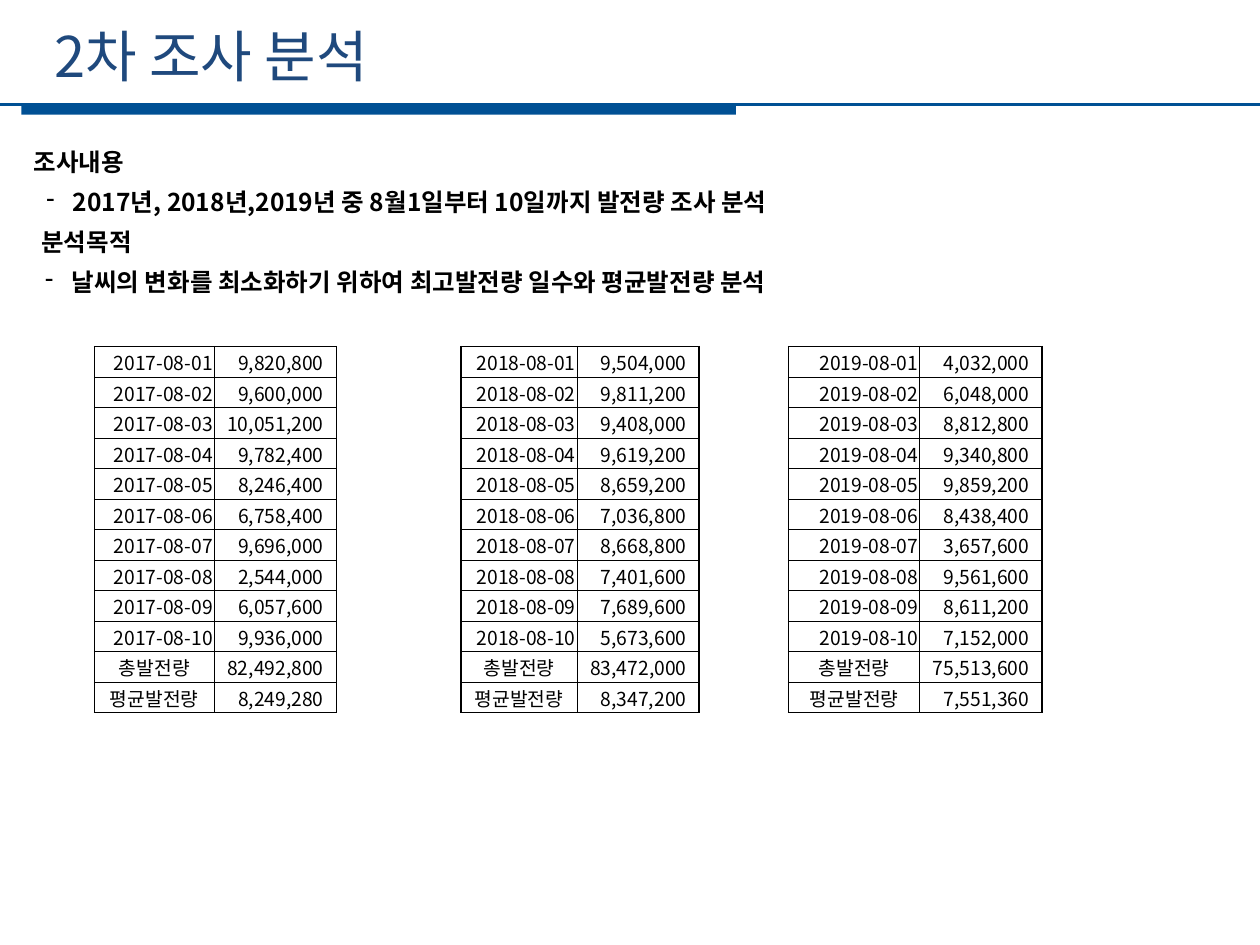
import pptx
import pptx.dml.color
import pptx.enum.shapes
import pptx.enum.text
import pptx.oxml
import pptx.oxml.ns
import pptx.util
from lxml import etree

COLUMNS, ROWS = 100, 75
KOREAN = "Noto Sans CJK KR"
BLUE, NAVY, BLACK = "005094", "1F497D", "000000"
ALIGN = pptx.enum.text.PP_ALIGN
MIDDLE = pptx.enum.text.MSO_ANCHOR.MIDDLE
INCH = pptx.util.Inches(1)

SURVEY = [
    ("조사내용", 0, False, "Arial"),
    ("2017년, 2018년,2019년 중 8월1일부터 10일까지 발전량 조사 분석", 0.31, True, KOREAN),
    ("분석목적", 0.06, False, KOREAN),
    ("날씨의 변화를 최소화하기 위하여 최고발전량 일수와 평균발전량 분석", 0.3, True, KOREAN),
]
OUTPUT = {
    2017: [9820800, 9600000, 10051200, 9782400, 8246400,
           6758400, 9696000, 2544000, 6057600, 9936000],
    2018: [9504000, 9811200, 9408000, 9619200, 8659200,
           7036800, 8668800, 7401600, 7689600, 5673600],
    2019: [4032000, 6048000, 8812800, 9340800, 9859200,
           8438400, 3657600, 9561600, 8611200, 7152000],
}
TABLES = {2017: (7.5, 9.5), 2018: (36.6, 9.2), 2019: (62.6, 10.4)}
AMOUNT_COLUMNS = 9.7


def colour(value):
    """Turn a hex string into a colour."""
    return pptx.dml.color.RGBColor.from_string(value)


def apply(target, formats):
    """Set every attribute named in a dict of format values."""
    for name, value in formats.items():
        setattr(target, name, value)


def grid_box(deck, left, top, width, height):
    """Convert grid columns and rows to slide lengths."""
    column, row = deck.slide_width / COLUMNS, deck.slide_height / ROWS
    return [round(n * unit) for n, unit in
            zip((left, top, width, height), (column, row, column, row))]


def write(paragraph, text, size, hex_colour, font=KOREAN, bold=False):
    """Add one formatted run to a paragraph."""
    run = paragraph.add_run()
    run.text = text
    apply(run.font, {"size": pptx.util.Pt(size), "name": font, "bold": bold})
    run.font.color.rgb = colour(hex_colour)
    east_asian = etree.SubElement(run.font._element, pptx.oxml.ns.qn("a:ea"))
    east_asian.set("typeface", KOREAN)


def add_title(slide, box):
    """Place the slide title in the given box."""
    title = slide.shapes.title
    apply(title, dict(zip(("left", "top", "width", "height"), box)))
    apply(title.text_frame, {"vertical_anchor": MIDDLE, "word_wrap": True})
    heading = title.text_frame.paragraphs[0]
    heading.alignment = ALIGN.LEFT
    write(heading, "2차 조사 분석", 32, NAVY)


def add_rule(slide, box):
    """Draw the thin line along the box top and the thick bar below it."""
    left, top, width, height = box
    rule = slide.shapes.add_group_shape()
    bar = rule.shapes.add_shape(
        pptx.enum.shapes.MSO_SHAPE.RECTANGLE,
        left + round(width * 0.017), top, round(width * 0.567), height)
    bar.shadow.inherit = False
    bar.fill.solid()
    bar.fill.fore_color.rgb = colour(BLUE)
    bar.line.fill.background()
    line = rule.shapes.add_connector(
        pptx.enum.shapes.MSO_CONNECTOR.STRAIGHT, left, top, left + width, top)
    line.line.color.rgb = colour(BLUE)
    line.line.width = pptx.util.Pt(1.25)
    etree.SubElement(line._element.spPr, pptx.oxml.ns.qn("a:effectLst"))


def add_survey(slide, box):
    """Write the survey headings and their dashed points."""
    frame = slide.shapes.add_textbox(*box).text_frame
    frame.word_wrap = True
    for index, (text, indent, dashed, font) in enumerate(SURVEY):
        point = frame.paragraphs[0] if index == 0 else frame.add_paragraph()
        point.line_spacing = pptx.util.Pt(23)
        write(point, text, 14, BLACK, font, True)
        properties = point._p.get_or_add_pPr()
        properties.set("marL", str(round(indent * INCH)))
        properties.set("indent", str(round(-0.21 * INCH) if dashed else 0))
        if dashed:
            dash = etree.SubElement(properties, pptx.oxml.ns.qn("a:buChar"))
            dash.set("char", "-")


def set_borders(cell, widths):
    """Give a cell black borders with a width in points for each side."""
    properties = cell._tc.get_or_add_tcPr()
    for side, width in widths.items():
        properties.append(pptx.oxml.parse_xml(
            f'<a:ln{side} {pptx.oxml.ns.nsdecls("a")} w="{pptx.util.Pt(width)}">'
            f'<a:solidFill><a:srgbClr val="{BLACK}"/></a:solidFill></a:ln{side}>'))


def add_year(slide, box, year, date_share):
    """Build one year's table of daily output with total and average."""
    daily = OUTPUT[year]
    records = [(f"{year}-08-{day:02}", amount, ALIGN.RIGHT)
               for day, amount in enumerate(daily, 1)]
    records += [("총발전량", sum(daily), ALIGN.CENTER),
                ("평균발전량", sum(daily) // len(daily), ALIGN.CENTER)]
    table = slide.shapes.add_table(len(records), 2, *box).table
    apply(table, {"first_row": False, "horz_banding": False})
    table.columns[0].width = round(box[2] * date_share)
    table.columns[1].width = box[2] - table.columns[0].width
    last = len(records) - 1
    for row, (label, amount, label_align) in enumerate(records):
        table.rows[row].height = round(box[3] / len(records))
        entries = [(label, label_align, 0.01), (f"{amount:,}", ALIGN.RIGHT, 0.1)]
        for column, (text, align, right) in enumerate(entries):
            cell = table.cell(row, column)
            apply(cell, {"margin_left": round(0.01 * INCH), "margin_top": round(0.01 * INCH),
                         "margin_right": round(right * INCH), "margin_bottom": 0,
                         "vertical_anchor": MIDDLE})
            set_borders(cell, {"L": 1 if column == 0 else 0.5,
                               "R": 1 if column == 1 else 0.5,
                               "T": 1 if row == 0 else 0.5,
                               "B": 1 if row == last else 0.5})
            cell.fill.background()
            entry = cell.text_frame.paragraphs[0]
            entry.alignment = align
            write(entry, text, 11, BLACK)


def main():
    """Build and save the slide."""
    deck = pptx.Presentation()
    apply(deck, {"slide_width": 10 * INCH, "slide_height": round(7.5 * INCH)})
    slide = deck.slides.add_slide(deck.slide_layouts[5])
    add_rule(slide, grid_box(deck, 0, 8.3, COLUMNS, 0.8))
    add_title(slide, grid_box(deck, 3.3, 1.2, 89.6, 6.4))
    add_survey(slide, grid_box(deck, 1.7, 10.3, 95.2, 17.1))
    for year, (left, date_columns) in TABLES.items():
        width = date_columns + AMOUNT_COLUMNS
        add_year(slide, grid_box(deck, left, 27.5, width, 29.1),
                 year, date_columns / width)
    deck.save("out.pptx")


if __name__ == "__main__":
    main()
